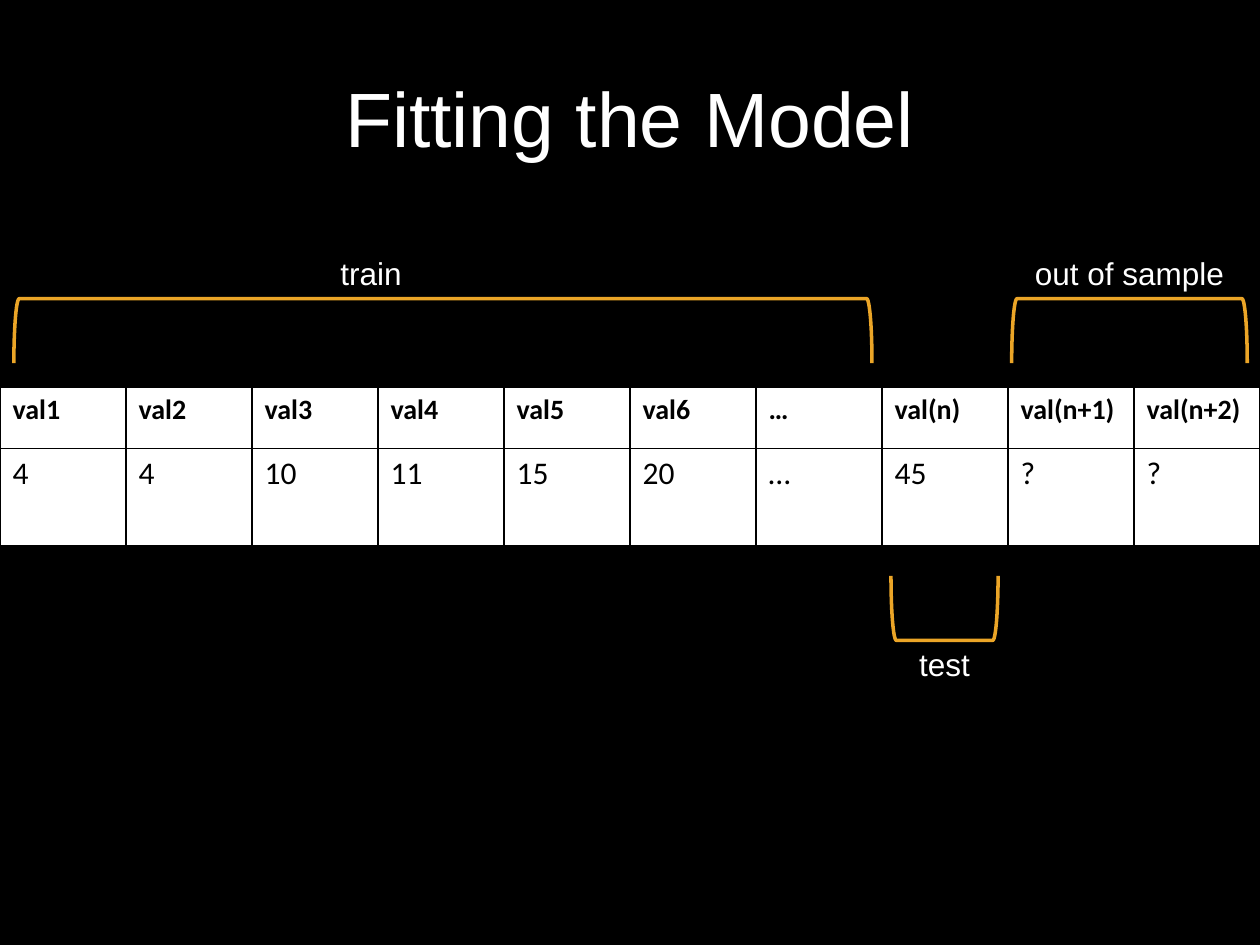
from lxml import etree
from pptx import Presentation
from pptx.dml.color import RGBColor
from pptx.enum.shapes import MSO_SHAPE
from pptx.enum.text import MSO_ANCHOR, PP_ALIGN
from pptx.oxml import parse_xml
from pptx.oxml.ns import nsdecls
from pptx.util import Cm, Pt

RIGHT_BRACKET = MSO_SHAPE.RIGHT_BRACKET
MIDDLE = MSO_ANCHOR.MIDDLE
CENTER = PP_ALIGN.CENTER
WHITE, BLACK, ORANGE = "FFFFFF", "000000", "EBA527"


def color(hex_string):
    return RGBColor.from_string(hex_string)


def format_text(text_frame, font_name, size, hex_string, bold=False):
    for paragraph in text_frame.paragraphs:
        for run in paragraph.runs:
            run.font.name = font_name
            run.font.size = Pt(size)
            run.font.bold = bold
            run.font.color.rgb = color(hex_string)


presentation = Presentation()
presentation.slide_width = Cm(25.4)
presentation.slide_height = Cm(19.05)
slide = presentation.slides.add_slide(presentation.slide_layouts[5])
slide.background.fill.solid()
slide.background.fill.fore_color.rgb = color(BLACK)

# Title
title = slide.shapes.title
title.left, title.top, title.width, title.height = Cm(1.27), Cm(0.76), Cm(22.86), Cm(3.18)
title.text_frame.text = "Fitting the Model"
title.text_frame.vertical_anchor = MIDDLE
title.text_frame.paragraphs[0].alignment = CENTER
format_text(title.text_frame, "Arial", 44, WHITE)

# Table of the series
headers = ["val1", "val2", "val3", "val4", "val5", "val6", "…", "val(n)", "val(n+1)", "val(n+2)"]
values = ["4", "4", "10", "11", "15", "20", "…", "45", "?", "?"]
row_styles = [(headers, 1.24, 16, True), (values, 1.96, 18, False)]

table = slide.shapes.add_table(2, len(headers), Cm(0), Cm(7.8), Cm(25.4), Cm(3.2)).table
for column in table.columns:
    column.width = Cm(2.54)
for row, (texts, height, size, bold) in zip(table.rows, row_styles):
    row.height = Cm(height)
    for cell, text in zip(row.cells, texts):
        cell.text_frame.text = text
        format_text(cell.text_frame, "Calibri", size, BLACK, bold)
        cell.fill.solid()
        cell.fill.fore_color.rgb = color(WHITE)
        # Borders come before the fill in the cell properties
        properties = cell._tc.get_or_add_tcPr()
        for index, side in enumerate(("lnL", "lnR", "lnT", "lnB")):
            border = etree.fromstring(
                f'<a:{side} {nsdecls("a")} w="12700"><a:solidFill>'
                f'<a:srgbClr val="{BLACK}"/></a:solidFill></a:{side}>')
            properties.insert(index, parse_xml(etree.tostring(border)))

# Brackets with labels: text, bracket centre x and y, span, rotation, label centre x, label top
groups = [
    ("train", 8.93, 6.67, 17.3, 270, 7.48, 5),
    ("test", 19.04, 12.26, 2.16, 90, 19.04, 12.88),
    ("out of sample", 22.77, 6.67, 4.75, 270, 22.77, 5),
]
depth, label_width, label_height = 1.3, 6.22, 1.02
for text, center_x, center_y, span, rotation, label_x, label_top in groups:
    bracket = slide.shapes.add_shape(
        RIGHT_BRACKET, Cm(center_x - depth / 2), Cm(center_y - span / 2), Cm(depth), Cm(span))
    bracket.rotation = rotation
    bracket.shadow.inherit = False
    bracket.fill.background()
    bracket.line.color.rgb = color(ORANGE)
    bracket.line.width = Pt(2)

    label = slide.shapes.add_textbox(
        Cm(label_x - label_width / 2), Cm(label_top), Cm(label_width), Cm(label_height))
    label.text_frame.word_wrap = True
    label.text_frame.text = text
    label.text_frame.paragraphs[0].alignment = CENTER
    format_text(label.text_frame, "Arial", 18, WHITE)

presentation.save("out.pptx")
